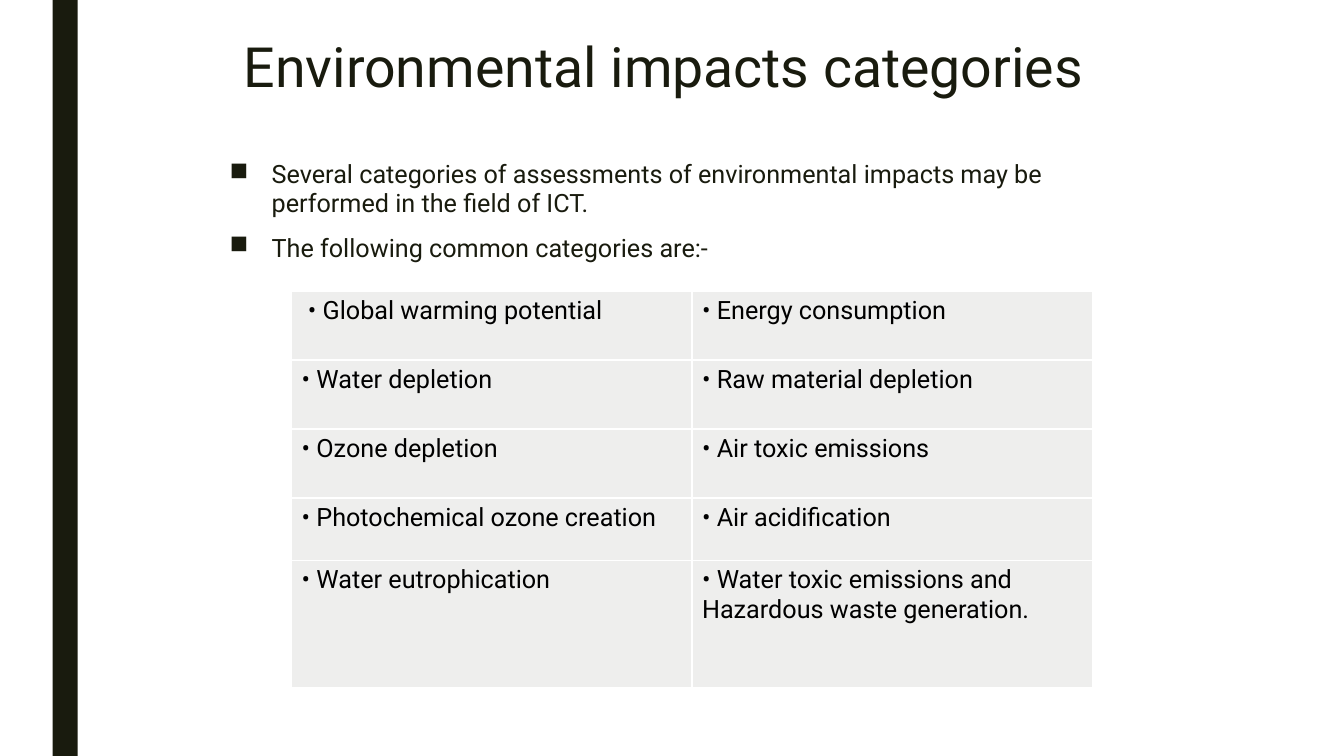
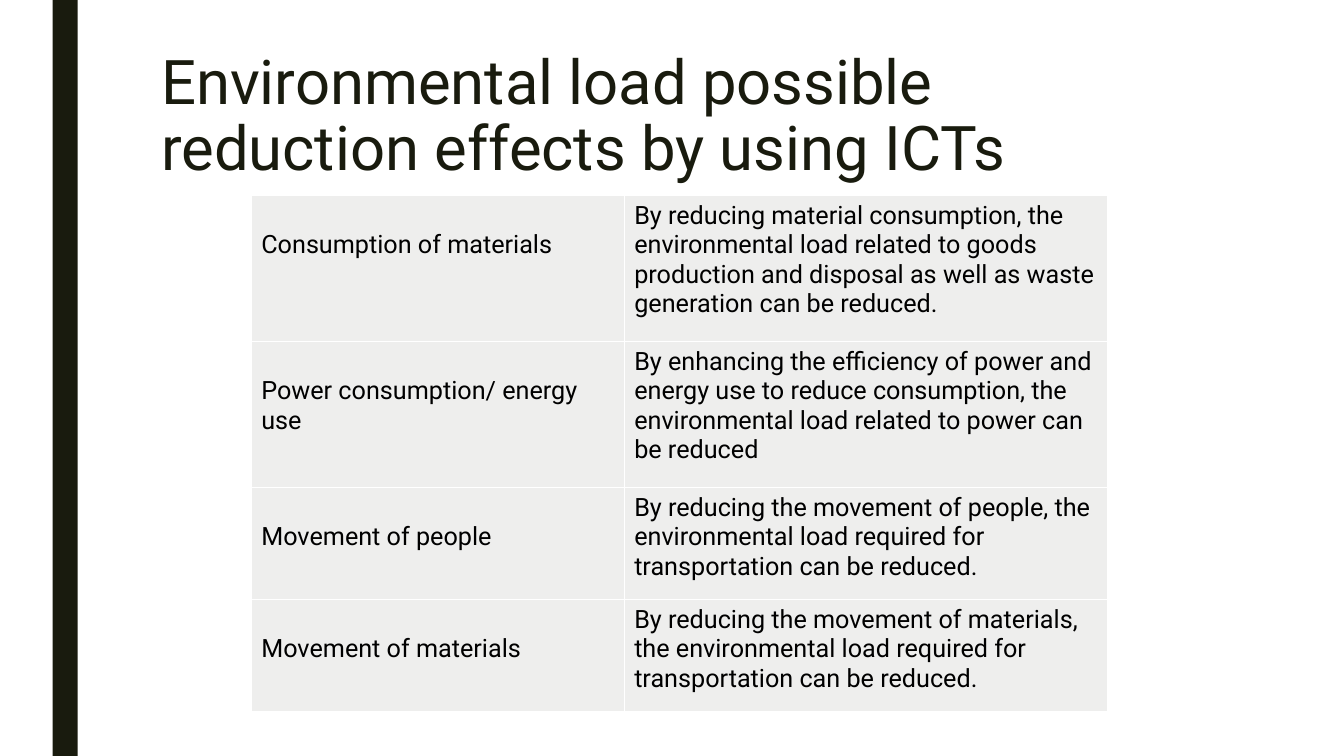
import pptx
import pptx.dml.color
import pptx.enum.shapes
import pptx.enum.text
import pptx.oxml
import pptx.oxml.ns
import pptx.util

Pt = pptx.util.Pt
RGBColor = pptx.dml.color.RGBColor
NAMESPACE = pptx.oxml.ns.nsdecls("a")

DARK = RGBColor(0x19, 0x1B, 0x0E)
BLACK = RGBColor(0, 0, 0)
WHITE = RGBColor(255, 255, 255)
CELL_FILL = RGBColor(0xEE, 0xEE, 0xED)

FONT = "Roboto"
PAGE_WIDTH, PAGE_HEIGHT = 960, 540
TEXT_SIZE = 18
TEXT_LINE = 21.1
INDENT = 30
BODY_FORMAT = {"line_spacing": 0.94, "space_before": Pt(10), "space_after": Pt(2)}


def set_all(target, values):
    for name, value in values.items():
        setattr(target, name, value)


def write(para, text, size, color):
    span = para.add_run()
    span.text = text
    set_all(span.font, {"name": FONT, "size": Pt(size)})
    span.font.color.rgb = color


def add_page(deck):
    """Blank page with the dark band at the left."""
    page = deck.slides.add_slide(deck.slide_layouts[6])
    page.background.fill.solid()
    page.background.fill.fore_color.rgb = WHITE
    band = page.shapes.add_shape(
        pptx.enum.shapes.MSO_SHAPE.RECTANGLE, Pt(37.5), 0, Pt(18), Pt(PAGE_HEIGHT))
    band.shadow.inherit = False
    band.fill.solid()
    band.fill.fore_color.rgb = DARK
    band.line.fill.background()
    return page


def add_text_frame(page, box):
    frame = page.shapes.add_textbox(*map(Pt, box)).text_frame
    set_all(frame, {"word_wrap": True,
                    "vertical_anchor": pptx.enum.text.MSO_ANCHOR.TOP})
    return frame


def add_title(page, box, text, size):
    para = add_text_frame(page, box).paragraphs[0]
    para.line_spacing = 0.9
    write(para, text, size, DARK)


def add_bullets(page, box, lines):
    frame = add_text_frame(page, box)
    for index, line in enumerate(lines):
        para = frame.add_paragraph() if index else frame.paragraphs[0]
        set_all(para, BODY_FORMAT)
        write(para, line, TEXT_SIZE, DARK)
        # Square bullet with a hanging indent
        properties = para._p.get_or_add_pPr()
        properties.set("marL", str(Pt(INDENT)))
        properties.set("indent", str(-Pt(INDENT)))
        properties.append(pptx.oxml.parse_xml(f'<a:buChar {NAMESPACE} char="■"/>'))


def style_cell(cell):
    cell.fill.solid()
    cell.fill.fore_color.rgb = CELL_FILL
    # White borders go before the fill in the cell properties
    properties = cell._tc.get_or_add_tcPr()
    for index, side in enumerate("LRTB"):
        properties.insert(index, pptx.oxml.parse_xml(
            f'<a:ln{side} {NAMESPACE} w="{Pt(1)}"><a:solidFill>'
            f'<a:srgbClr val="{WHITE}"/></a:solidFill></a:ln{side}>'))


def add_table(page, left, top, widths, heights, rows):
    table = page.shapes.add_table(
        len(heights), len(widths), Pt(left), Pt(top),
        Pt(sum(widths)), Pt(sum(heights))).table
    set_all(table, {"first_row": False, "horz_banding": False})
    for column, width in zip(table.columns, widths):
        column.width = Pt(width)
    for row, height, texts in zip(table.rows, heights, rows):
        row.height = Pt(height)
        for cell, text in zip(row.cells, texts):
            style_cell(cell)
            write(cell.text_frame.paragraphs[0], text, TEXT_SIZE, BLACK)
    return table


def build_categories(deck):
    page = add_page(deck)
    add_title(page, (167, 25, 638, 94), "Environmental impacts categories", 39.6)
    add_bullets(page, (157, 111.5, 648, 399), [
        "Several categories of assessments of environmental impacts may be "
        "performed in the field of ICT.",
        "The following common categories are:-"])

    # The last category sits in a table of its own, over the first one's end
    left, widths = 208.3, [286, 286]
    categories = add_table(page, left, 207.8, widths, [49.3] * 4, [
        ("• Global warming potential", "• Energy consumption"),
        ("• Water depletion", "• Raw material depletion"),
        ("• Ozone depletion", "• Air toxic emissions"),
        ("• Photochemical ozone creation", "• Air acidification")])
    categories.cell(0, 0).margin_left = Pt(11.7)
    add_table(page, left, 400.2, widths, [91.2], [
        ("• Water eutrophication",
         "• Water toxic emissions and Hazardous waste generation.")])


def build_reductions(deck):
    page = add_page(deck)
    add_title(page, (108, 33, 756, 117),
              "Environmental load possible reduction effects by using ICTs", 44)
    effects = add_table(page, 179.5, 139.8, [266.4, 345.6], [104.3, 104.3, 80, 80], [
        ("Consumption of materials",
         "By reducing material consumption, the environmental load related to "
         "goods production and disposal as well as waste generation can be reduced."),
        ("Power consumption/ energy use",
         "By enhancing the efficiency of power and energy use to reduce "
         "consumption, the environmental load related to power can be reduced"),
        ("Movement of people",
         "By reducing the movement of people, the environmental load required "
         "for transportation can be reduced."),
        ("Movement of materials",
         "By reducing the movement of materials, the environmental load required "
         "for transportation can be reduced.")])
    # Labels start one line below the top of their row
    for row in effects.rows:
        row.cells[0].margin_top = Pt(3.6 + TEXT_LINE)


deck = pptx.Presentation()
set_all(deck, {"slide_width": Pt(PAGE_WIDTH), "slide_height": Pt(PAGE_HEIGHT)})
build_categories(deck)
build_reductions(deck)
deck.save("out.pptx")
